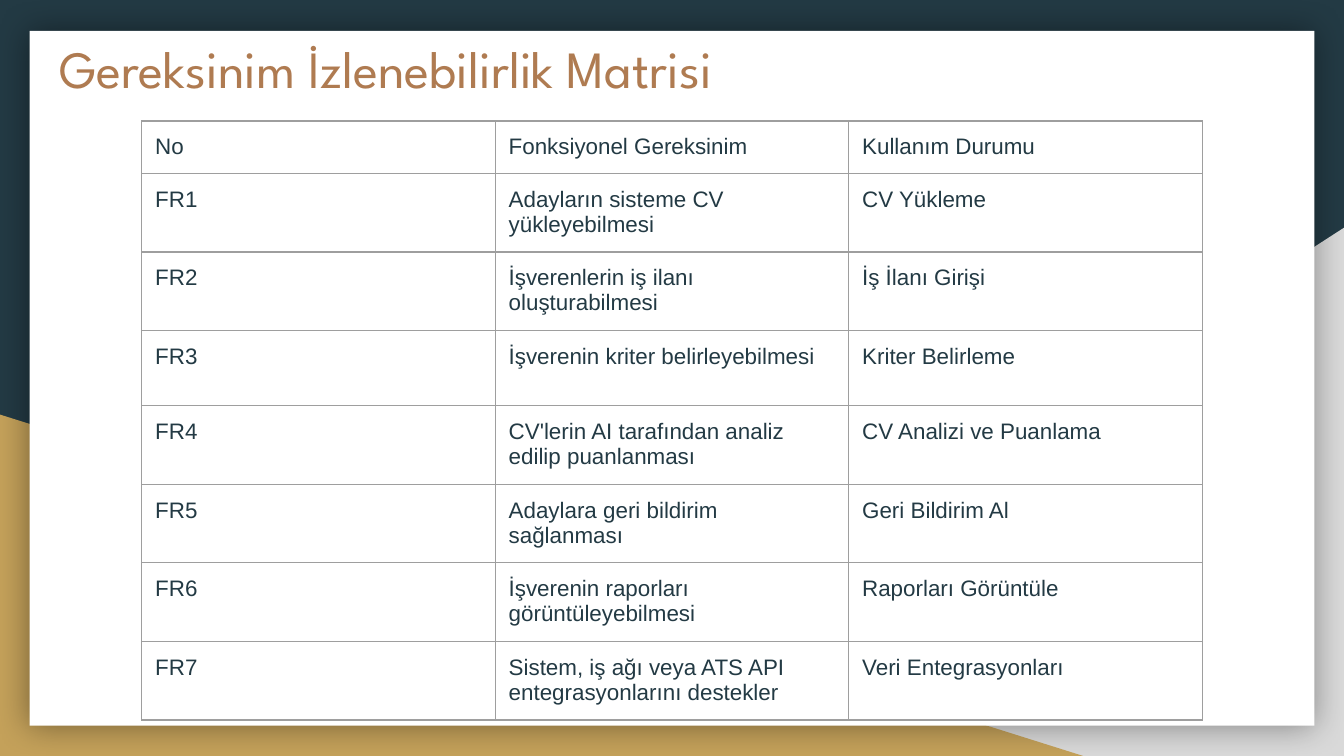
from lxml.etree import SubElement
from pptx import Presentation
from pptx.dml.color import RGBColor
from pptx.enum.shapes import MSO_SHAPE
from pptx.enum.text import MSO_ANCHOR, MSO_AUTO_SIZE, PP_ALIGN
from pptx.oxml import parse_xml
from pptx.oxml.ns import nsdecls, qn
from pptx.util import Inches, Pt

WIDE = 10
HIGH = WIDE * 9 / 16
NAVY, GOLD, GREY, WHITE = "233A44", "C4A15A", "D9D9D9", "FFFFFF"
BROWN, RULE = "AF7B51", "9E9E9E"
INSET = Inches(0.1)
ROWS = [
    ("No", "Fonksiyonel Gereksinim", "Kullanım Durumu"),
    ("FR1", "Adayların sisteme CV yükleyebilmesi", "CV Yükleme"),
    ("FR2", "İşverenlerin iş ilanı oluşturabilmesi", "İş İlanı Girişi"),
    ("FR3", "İşverenin kriter belirleyebilmesi", "Kriter Belirleme"),
    ("FR4", "CV'lerin AI tarafından analiz edilip puanlanması",
     "CV Analizi ve Puanlama"),
    ("FR5", "Adaylara geri bildirim sağlanması", "Geri Bildirim Al"),
    ("FR6", "İşverenin raporları görüntüleyebilmesi", "Raporları Görüntüle"),
    ("FR7", "Sistem, iş ağı veya ATS API entegrasyonlarını destekler",
     "Veri Entegrasyonları"),
]
TOTAL, HEAD, SHORT = 4.46, 0.39, 0.56
TALL = (TOTAL - HEAD - SHORT) / 6
HEIGHTS = [HEAD, TALL, TALL, SHORT] + [TALL] * 4


def color(code):
    return RGBColor.from_string(code)


def style(para, face, size, code):
    for run in para.runs:
        run.font.name = face
        run.font.size = Pt(size)
        run.font.color.rgb = color(code)


def pad(box):
    """Set equal margins on a cell or text frame."""
    box.margin_left = box.margin_right = INSET
    box.margin_top = box.margin_bottom = INSET


def add_block(slide, kind, left, top, width, height, code):
    shape = slide.shapes.add_shape(
        kind, Inches(left), Inches(top), Inches(width), Inches(height))
    shape.shadow.inherit = False
    shape.fill.solid()
    shape.fill.fore_color.rgb = color(code)
    shape.line.fill.background()
    return shape


def add_glow(shape):
    """Give the shape a soft shadow on all sides."""
    effects = shape._element.spPr.find(qn("a:effectLst"))
    effects.append(parse_xml(
        f'<a:outerShdw {nsdecls("a")} blurRad="{Pt(18)}" dist="0" dir="0" '
        'algn="ctr" rotWithShape="0"><a:srgbClr val="000000">'
        '<a:alpha val="40000"/></a:srgbClr></a:outerShdw>'))


def add_back(slide):
    slide.background.fill.solid()
    slide.background.fill.fore_color.rgb = color(NAVY)
    wedge = MSO_SHAPE.RIGHT_TRIANGLE
    right = add_block(slide, wedge, 3.92, HIGH - 3.93, WIDE - 3.92, 3.93, GREY)
    right._element.spPr.xfrm.set("flipH", "1")
    add_block(slide, wedge, 0, HIGH - 2.54, 8.06, 2.54, GOLD)
    edge = 0.22
    add_glow(add_block(slide, MSO_SHAPE.RECTANGLE, edge, 0.23,
                       WIDE - 2 * edge, 5.17, WHITE))


def set_title(slide, text):
    title = slide.shapes.title
    title.left, title.top = Inches(0.34), Inches(0.21)
    title.width, title.height = Inches(WIDE - 2 * 0.34), Inches(0.63)
    frame = title.text_frame
    frame.text = text
    frame.word_wrap = True
    frame.auto_size = MSO_AUTO_SIZE.TEXT_TO_FIT_SHAPE
    frame.vertical_anchor = MSO_ANCHOR.TOP
    pad(frame)
    para = frame.paragraphs[0]
    para.alignment = PP_ALIGN.LEFT
    para.line_spacing = 1.15
    style(para, "League Spartan", 30, BROWN)
    slide.shapes._spTree.append(title._element)  # in front of the panel


def add_rules(cell):
    """Draw a thin border on each side of the cell."""
    props = cell._tc.get_or_add_tcPr()
    for spot, side in enumerate(("a:lnL", "a:lnR", "a:lnT", "a:lnB")):
        line = props.makeelement(qn(side), {"w": str(Pt(0.75))})
        fill = SubElement(line, qn("a:solidFill"))
        SubElement(fill, qn("a:srgbClr"), val=RULE)
        props.insert(spot, line)


def add_matrix(slide):
    width = 2.63
    count = len(ROWS[0])
    table = slide.shapes.add_table(
        len(ROWS), count, Inches((WIDE - count * width) / 2), Inches(0.9),
        Inches(count * width), Inches(TOTAL)).table
    table.first_row = table.horz_banding = False
    for column in table.columns:
        column.width = Inches(width)
    for row, height, texts in zip(table.rows, HEIGHTS, ROWS):
        row.height = Inches(height)
        for cell, text in zip(row.cells, texts):
            cell.text = text
            cell.fill.background()
            pad(cell)
            add_rules(cell)
            style(cell.text_frame.paragraphs[0], "Arial", 12, NAVY)


def main():
    deck = Presentation()
    deck.slide_width, deck.slide_height = Inches(WIDE), Inches(HIGH)
    slide = deck.slides.add_slide(deck.slide_layouts[5])
    add_back(slide)
    set_title(slide, "Gereksinim İzlenebilirlik Matrisi")
    add_matrix(slide)
    deck.save("out.pptx")


if __name__ == "__main__":
    main()
